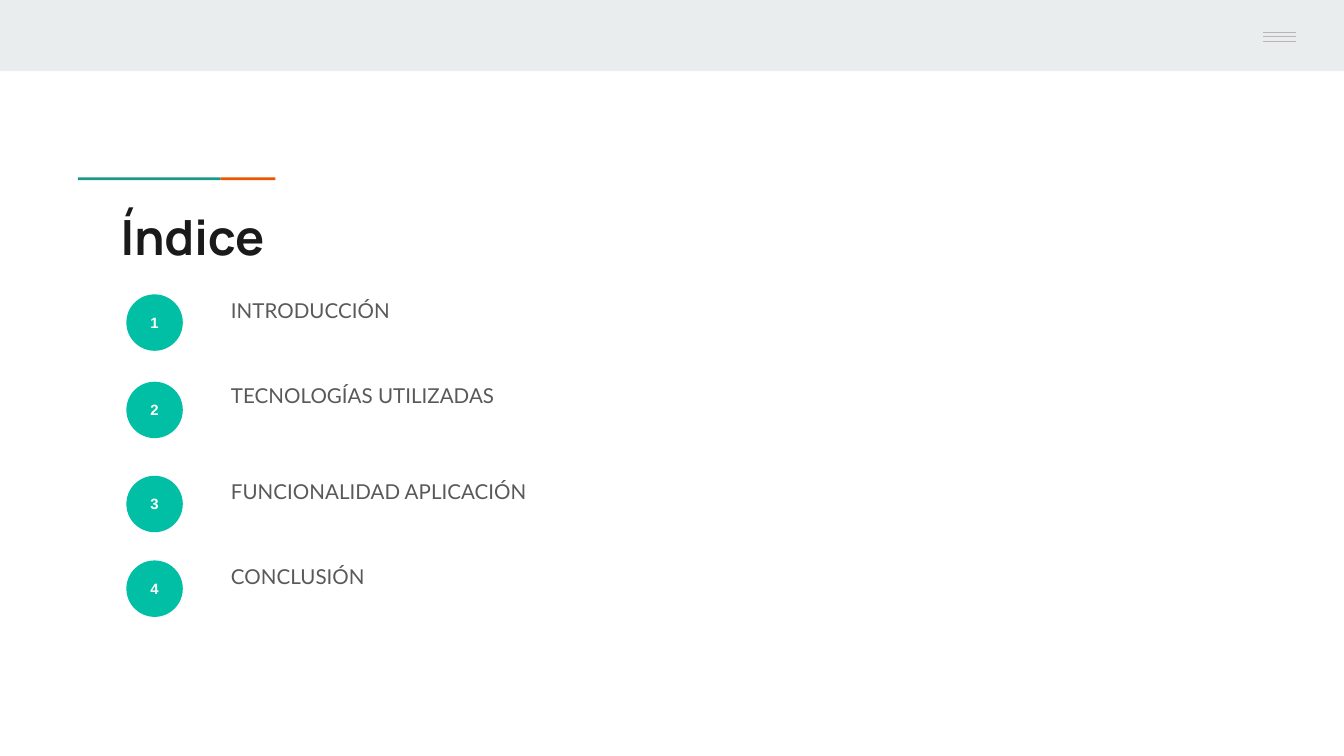
import pptx
import pptx.util
import pptx.dml.color
import pptx.enum.shapes
import pptx.enum.text
import pptx.oxml.ns
from lxml import etree

Inches = pptx.util.Inches
Pt = pptx.util.Pt
SHAPES = pptx.enum.shapes.MSO_SHAPE

COLORS = {
    "band": "E9EDEE",
    "green": "1A9988",
    "orange": "EB5600",
    "menu": "B7B7B7",
    "title": "1A1A1A",
    "badge": "00BFA5",
    "white": "FFFFFF",
    "body": "595959",
}

# Entry text, top of its badge, top of its label
ENTRIES = [
    ("INTRODUCCIÓN", 2.19, 2.09),
    ("TECNOLOGÍAS UTILIZADAS", 2.84, 2.72),
    ("FUNCIONALIDAD APLICACIÓN", 3.54, 3.44),
    ("CONCLUSIÓN", 4.17, 4.07),
]


def rgb(name):
    return pptx.dml.color.RGBColor.from_string(COLORS[name])


def add_filled(slide, kind, left, top, width, height, color):
    shape = slide.shapes.add_shape(
        kind, Inches(left), Inches(top), Inches(width), Inches(height))
    shape.shadow.inherit = False
    shape.fill.solid()
    shape.fill.fore_color.rgb = rgb(color)
    shape.line.fill.background()
    return shape


def add_menu_line(slide, top):
    line = slide.shapes.add_connector(
        pptx.enum.shapes.MSO_CONNECTOR.STRAIGHT,
        Inches(9.4), Inches(top), Inches(9.64), Inches(top))
    line.line.color.rgb = rgb("menu")
    line.line.width = Pt(0.75)
    properties = line._element.spPr
    etree.SubElement(properties, pptx.oxml.ns.qn("a:effectLst"))


def write(shape, text, font, size, color, bold=False):
    frame = shape.text_frame
    frame.word_wrap = True
    frame.margin_left = frame.margin_right = Inches(0.1)
    frame.margin_top = frame.margin_bottom = Inches(0.1)
    paragraph = frame.paragraphs[0]
    paragraph.text = text
    paragraph.font.name = font
    paragraph.font.size = Pt(size)
    paragraph.font.bold = bold
    paragraph.font.color.rgb = rgb(color)
    return paragraph


def add_text(slide, left, top, width, height, *style):
    box = slide.shapes.add_textbox(
        Inches(left), Inches(top), Inches(width), Inches(height))
    return write(box, *style)


def add_entry(slide, number, text, badge_top, label_top):
    badge = add_filled(slide, SHAPES.OVAL, 0.94, badge_top, 0.42, 0.42, "badge")
    badge.text_frame.vertical_anchor = pptx.enum.text.MSO_ANCHOR.MIDDLE
    paragraph = write(badge, str(number), "Arial", 8, "white", True)
    paragraph.alignment = pptx.enum.text.PP_ALIGN.CENTER

    label = add_text(slide, 1.62, label_top, 3.61, 0.63, text, "Lato", 11, "body")
    label.line_spacing = 1.15
    label.space_after = Pt(16)


def main():
    presentation = pptx.Presentation()
    # Widescreen, 16:9
    presentation.slide_width = Inches(10)
    presentation.slide_height = Inches(10) * 9 // 16
    slide = presentation.slides.add_slide(presentation.slide_layouts[6])

    # Top band
    add_filled(slide, SHAPES.RECTANGLE, 0, 0, 10, 0.53, "band")

    # Two-colour rule above the title
    add_filled(slide, SHAPES.RECTANGLE, 1.64, 1.32, 0.41, 0.02, "orange")
    add_filled(slide, SHAPES.RECTANGLE, 0.58, 1.32, 1.06, 0.02, "green")

    # Menu icon on its panel
    add_filled(slide, SHAPES.RECTANGLE, 9.06, 0, 0.94, 0.5, "band")
    for top in (0.24, 0.27, 0.31):
        add_menu_line(slide, top)

    # Title and numbered entries
    add_text(slide, 0.8, 1.44, 8.41, 0.59, "Índice", "Manrope", 26, "title", True)
    for number, entry in enumerate(ENTRIES, start=1):
        add_entry(slide, number, *entry)

    presentation.save("out.pptx")


if __name__ == "__main__":
    main()
